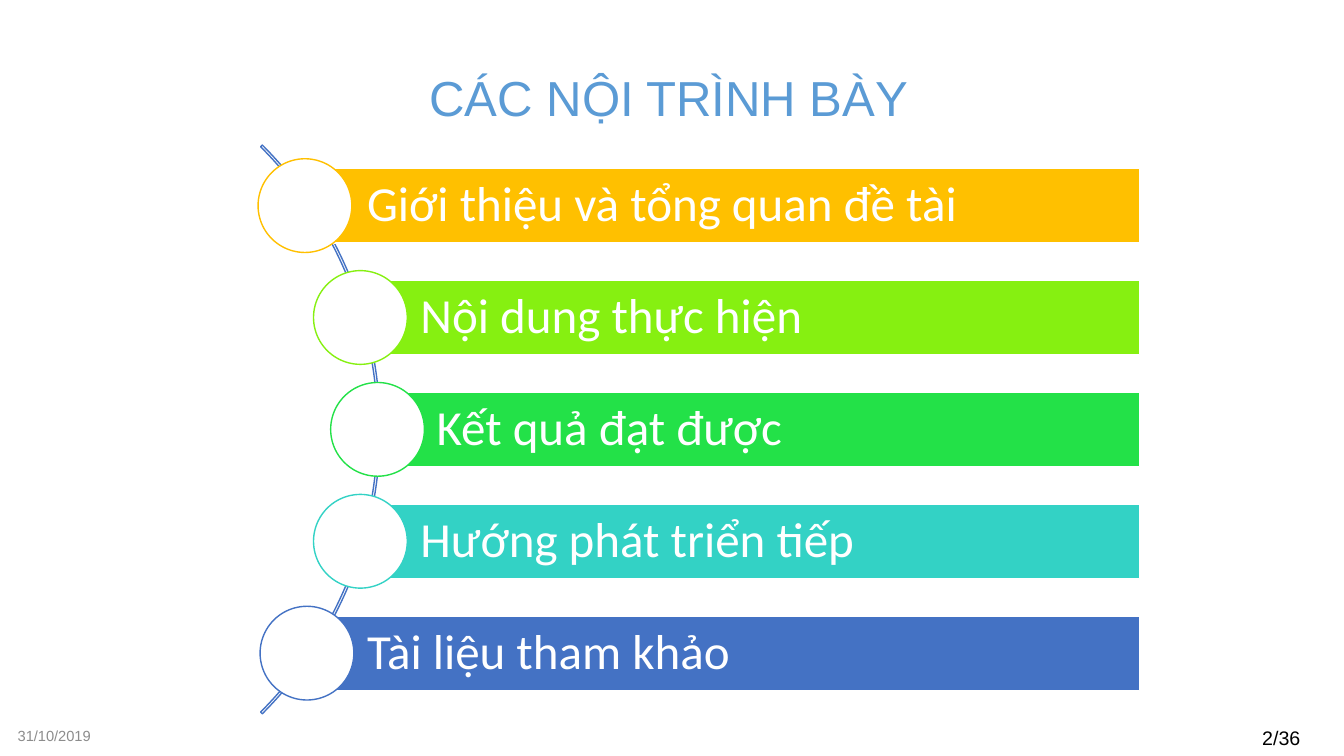
from pptx import Presentation
from pptx.dml.color import RGBColor
from pptx.enum import shapes, text
from pptx.util import Inches, Pt

TITLE = "CÁC NỘI TRÌNH BÀY"
DATE = "31/10/2019"
PAGE_NUMBER = "2/36"
SECTIONS = [
    ("Giới thiệu và tổng quan đề tài", "FFC000", 3.05, 2.56),
    ("Nội dung thực hiện", "86F011", 3.58, 3.11),
    ("Kết quả đạt được", "23E148", 3.74, 3.28),
    ("Hướng phát triển tiếp", "33D2C5", 3.58, 3.11),
    ("Tài liệu tham khảo", "4472C4", 3.05, 2.58),
]
THEME = {
    "white": "FFFFFF", "arc": "4472C4", "title": "5B9BD5",
    "date": "8C8C8C", "number": "000000",
    "heading_font": "Arial", "body_font": "Calibri",
    "title_size": 35.1, "section_size": 35, "date_size": 10.5, "number_size": 14,
}
BAR_TOP, BAR_HEIGHT, BAR_RIGHT = 1.67, 0.74, 11.3
CIRCLE_SIZE, STEP = 0.93, 1.11


def write(shape, content, font, size, color, align, anchor):
    frame = shape.text_frame
    frame.text = content
    frame.word_wrap = True
    frame.auto_size = text.MSO_AUTO_SIZE.NONE
    frame.vertical_anchor = anchor
    para = frame.paragraphs[0]
    para.alignment = align
    span = para.runs[0]
    span.font.name = font
    span.font.size = Pt(size)
    span.font.color.rgb = RGBColor.from_string(color)
    return frame


def draw(page, kind, box, fill, line):
    shape = page.shapes.add_shape(kind, *map(Inches, box))
    shape.shadow.inherit = False
    if fill:
        shape.fill.solid()
        shape.fill.fore_color.rgb = RGBColor.from_string(fill)
    else:
        shape.fill.background()
    shape.line.color.rgb = RGBColor.from_string(line)
    shape.line.width = Pt(1)
    return shape


def add_title(page):
    title = page.shapes.title
    title.left, title.top, title.width, title.height = map(Inches, (1.31, 0.63, 10.65, 0.66))
    write(title, TITLE, THEME["heading_font"], THEME["title_size"], THEME["title"],
          text.PP_ALIGN.CENTER, text.MSO_ANCHOR.MIDDLE)


def add_footer(page):
    items = [
        (DATE, (0, 7.1, 1, 0.4), "date", text.PP_ALIGN.RIGHT, text.MSO_ANCHOR.MIDDLE),
        (PAGE_NUMBER, (12.42, 7.15, 0.76, 0.34), "number", text.PP_ALIGN.LEFT, text.MSO_ANCHOR.TOP),
    ]
    for content, box, role, align, anchor in items:
        label = page.shapes.add_textbox(*map(Inches, box))
        write(label, content, THEME["heading_font"], THEME[role + "_size"], THEME[role], align, anchor)


def add_sections(page):
    arc = draw(page, shapes.MSO_SHAPE.BLOCK_ARC, (-4.21, 0.27, 7.98, 7.98), None, THEME["arc"])
    for index, value in enumerate((189, 27, 0.003)):
        arc.adjustments[index] = value

    for index, (content, color, bar_left, circle_left) in enumerate(SECTIONS):
        bar_top = BAR_TOP + index * STEP
        bar_box = (bar_left, bar_top, BAR_RIGHT - bar_left, BAR_HEIGHT)
        bar = draw(page, shapes.MSO_SHAPE.RECTANGLE, bar_box, color, THEME["white"])
        frame = write(bar, content, THEME["body_font"], THEME["section_size"], THEME["white"],
                      text.PP_ALIGN.LEFT, text.MSO_ANCHOR.MIDDLE)
        frame.margin_left = Inches(0.59)
        frame.margin_top = frame.margin_right = frame.margin_bottom = Inches(0.1)
        frame.paragraphs[0].line_spacing = 0.9

        circle_top = bar_top - (CIRCLE_SIZE - BAR_HEIGHT) / 2
        circle_box = (circle_left, circle_top, CIRCLE_SIZE, CIRCLE_SIZE)
        draw(page, shapes.MSO_SHAPE.OVAL, circle_box, THEME["white"], color)


def main():
    deck = Presentation()
    deck.slide_width, deck.slide_height = Inches(13.33), Inches(7.5)
    page = deck.slides.add_slide(deck.slide_layouts[5])
    add_title(page)
    add_footer(page)
    add_sections(page)
    deck.save("out.pptx")


if __name__ == "__main__":
    main()
